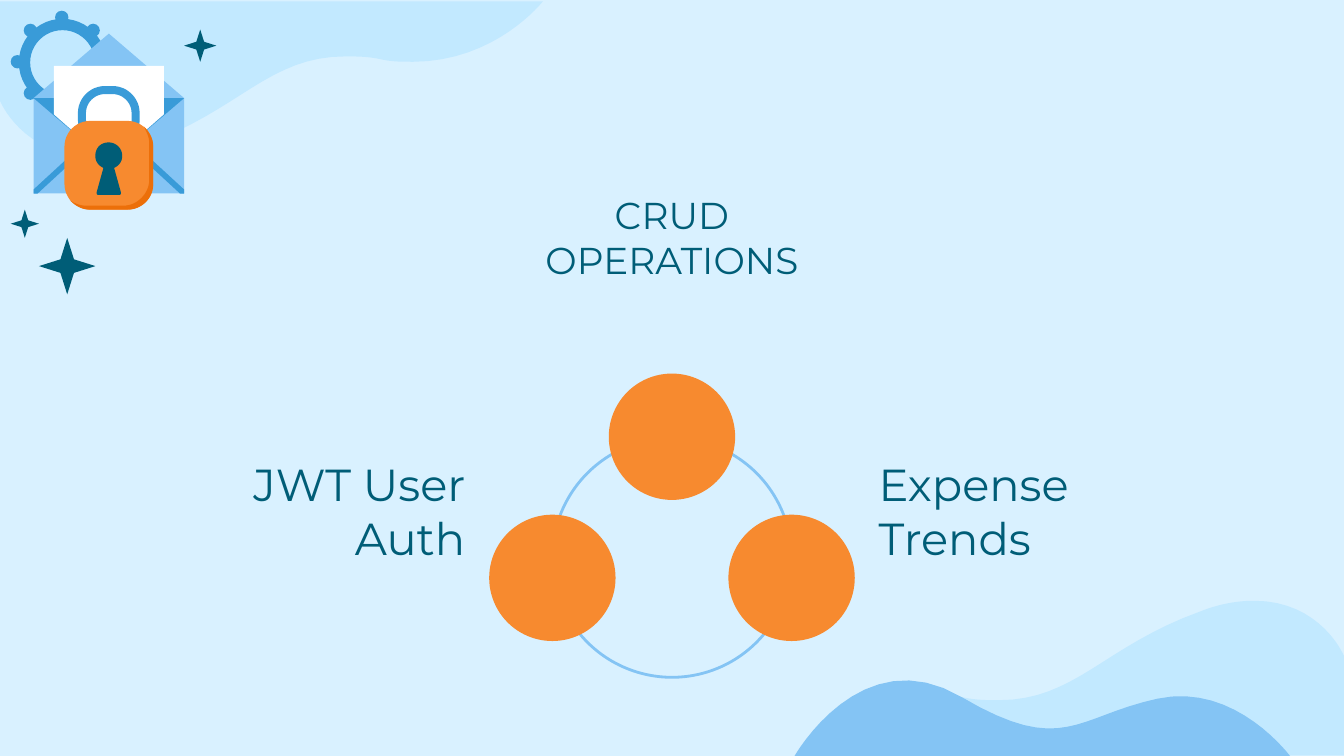
from pptx import Presentation
from pptx.dml.color import RGBColor
from pptx.enum import shapes, text
from pptx.util import Inches, Pt

SKY = RGBColor(0xD9, 0xF1, 0xFF)
PALE = RGBColor(0xC2, 0xE9, 0xFF)
LIGHT = RGBColor(0x84, 0xC4, 0xF4)
BLUE = RGBColor(0x39, 0x9B, 0xD8)
ORANGE = RGBColor(0xF7, 0x8A, 0x2F)
RUST = RGBColor(0xEC, 0x6F, 0x09)
TEAL = RGBColor(0x00, 0x5D, 0x77)
WHITE = RGBColor(0xFF, 0xFF, 0xFF)
PRESET = shapes.MSO_SHAPE

deck = Presentation()
deck.slide_width = Inches(10)
deck.slide_height = Inches(10 * 9 / 16)
page = deck.slides.add_slide(deck.slide_layouts[6])
page.background.fill.solid()
page.background.fill.fore_color.rgb = SKY


def add_figure(figure, *, color=None, line=None, width=1.5, adjust=None, steps=16):
    if isinstance(figure[0], tuple):
        points = [figure[0]]
        for segment in figure[1:]:
            if len(segment) == 2:
                points.append(segment)
                continue
            corners = [points[-1], segment[:2], segment[2:4], segment[4:]]
            for step in range(1, steps + 1):
                t = step / steps
                weights = [(1 - t) ** 3, 3 * t * (1 - t) ** 2, 3 * t * t * (1 - t), t ** 3]
                points.append(tuple(sum(w * c[axis] for w, c in zip(weights, corners))
                                    for axis in (0, 1)))
        points = [(Inches(x), Inches(y)) for x, y in points]
        builder = page.shapes.build_freeform(*points[0])
        builder.add_line_segments(points[1:], close=True)
        shape = builder.convert_to_shape()
    else:
        preset, *frame = figure
        shape = page.shapes.add_shape(preset, *[Inches(length) for length in frame])
        if adjust is not None:
            shape.adjustments[0] = adjust
    shape.shadow.inherit = False
    if color is None:
        shape.fill.background()
    else:
        shape.fill.solid()
        shape.fill.fore_color.rgb = color
    if line is None:
        shape.line.fill.background()
    else:
        shape.line.color.rgb = line
        shape.line.width = Pt(width)
    return shape


def add_label(words, *, left, top, size, align):
    box = page.shapes.add_textbox(Inches(left), Inches(top), Inches(2.46), Inches(0.61))
    frame = box.text_frame
    frame.word_wrap = True
    frame.vertical_anchor = text.MSO_ANCHOR.BOTTOM
    frame.margin_left = frame.margin_right = Inches(0.1)
    frame.margin_top = frame.margin_bottom = Inches(0.1)
    para = frame.paragraphs[0]
    para.alignment = align
    span = para.add_run()
    span.text = words
    span.font.name = "Montserrat"
    span.font.size = Pt(size)
    span.font.color.rgb = TEAL


top_wave = [
    (0, 0.01), (0, 0.75), (0, 0.75, 0.17, 1.16, 0.67, 1.16),
    (0.78, 1.16, 0.92, 1.14, 1.07, 1.08), (1.79, 0.82, 2, 0.42, 2.57, 0.42),
    (2.65, 0.42, 2.73, 0.42, 2.83, 0.44), (2.91, 0.46, 2.99, 0.46, 3.07, 0.46),
    (3.69, 0.46, 4.04, 0.01, 4.04, 0.01),
]
bottom_wave = [tuple((5.63 if index % 2 else 10) - value for index, value in enumerate(segment))
               for segment in top_wave]
front_wave = [
    (9.61, 5.64), (9.61, 5.64, 9.2, 5.07, 8.61, 5.2), (8.01, 5.33, 7.91, 5.63, 7.16, 5.19),
    (6.41, 4.74, 5.91, 5.63, 5.91, 5.63),
]
for wave, color in [(bottom_wave, PALE), (top_wave, PALE), (front_wave, LIGHT)]:
    add_figure(wave, color=color)

add_figure([PRESET.OVAL, 4.11, 3.26, 1.78, 1.78], line=LIGHT)
for words, left, top, size, align in [
    ("Expense Trends", 6.44, 3.69, 24, text.PP_ALIGN.LEFT),
    ("JWT User Auth", 1.1, 3.69, 24, text.PP_ALIGN.RIGHT),
    ("CRUD OPERATIONS", 3.77, 1.59, 20, text.PP_ALIGN.CENTER),
]:
    add_label(words, left=left, top=top, size=size, align=align)
for left, top in [(4.53, 2.78), (5.42, 3.83), (3.64, 3.83)]:
    add_figure([PRESET.OVAL, left, top, 0.94, 0.94], color=ORANGE)

add_figure([PRESET.DONUT, 0.14, 0.14, 0.65, 0.65], color=BLUE, adjust=0.13)
for across in (-1, 0, 1):
    for down in (-1, 0, 1):
        if across or down:
            reach = 0.33 / (across ** 2 + down ** 2) ** 0.5
            add_figure([PRESET.OVAL, 0.41 + reach * across, 0.41 + reach * down, 0.1, 0.1],
                       color=BLUE)

add_figure([PRESET.ISOSCELES_TRIANGLE, 0.25, 0.25, 1.12, 0.48], color=LIGHT)
add_figure([PRESET.RECTANGLE, 0.25, 0.73, 1.12, 0.71], color=LIGHT)
add_figure([(0.25, 0.73), (0.81, 1.21), (1.37, 0.73)], color=BLUE)
add_figure([(0.4, 0.49), (0.4, 0.85), (0.81, 1.21), (1.22, 0.85), (1.22, 0.49)], color=WHITE)
left_fold = [(0.75, 0.95), (0.25, 1.41), (0.25, 1.44), (0.28, 1.44), (0.78, 0.98)]
right_fold = [(1.62 - x, y) for x, y in left_fold]
for fold in (left_fold, right_fold):
    add_figure(fold, color=BLUE)

add_figure([PRESET.ROUNDED_RECTANGLE, 0.61, 0.67, 0.4, 0.39], line=BLUE, width=4.3, adjust=0.44)
add_figure([PRESET.ROUNDED_RECTANGLE, 0.48, 0.9, 0.66, 0.66], color=ORANGE, adjust=0.29)
add_figure([
    (1.07, 0.94), (1.09, 0.98, 1.11, 1.02, 1.11, 1.06), (1.11, 1.34),
    (1.11, 1.44, 1.02, 1.53, 0.92, 1.53), (0.64, 1.53),
    (0.59, 1.53, 0.55, 1.51, 0.52, 1.49), (0.56, 1.53, 0.61, 1.56, 0.67, 1.56),
    (0.95, 1.56), (1.05, 1.56, 1.14, 1.48, 1.14, 1.37), (1.14, 1.09),
    (1.14, 1.03, 1.11, 0.98, 1.07, 0.94),
], color=RUST)
add_figure([
    (0.81, 1.06), (0.75, 1.06, 0.71, 1.1, 0.71, 1.16), (0.71, 1.2, 0.73, 1.23, 0.77, 1.25),
    (0.72, 1.43), (0.72, 1.44, 0.72, 1.45, 0.73, 1.45), (0.89, 1.45),
    (0.9, 1.45, 0.9, 1.44, 0.9, 1.43), (0.85, 1.25),
    (0.89, 1.23, 0.91, 1.2, 0.91, 1.16), (0.91, 1.1, 0.86, 1.06, 0.81, 1.06),
], color=TEAL)
for left, top, side in [(0.29, 1.77, 0.42), (1.37, 0.22, 0.24), (0.08, 1.56, 0.21)]:
    add_figure([PRESET.STAR_4_POINT, left, top, side, side], color=TEAL, adjust=0.17)

deck.save("out.pptx")
